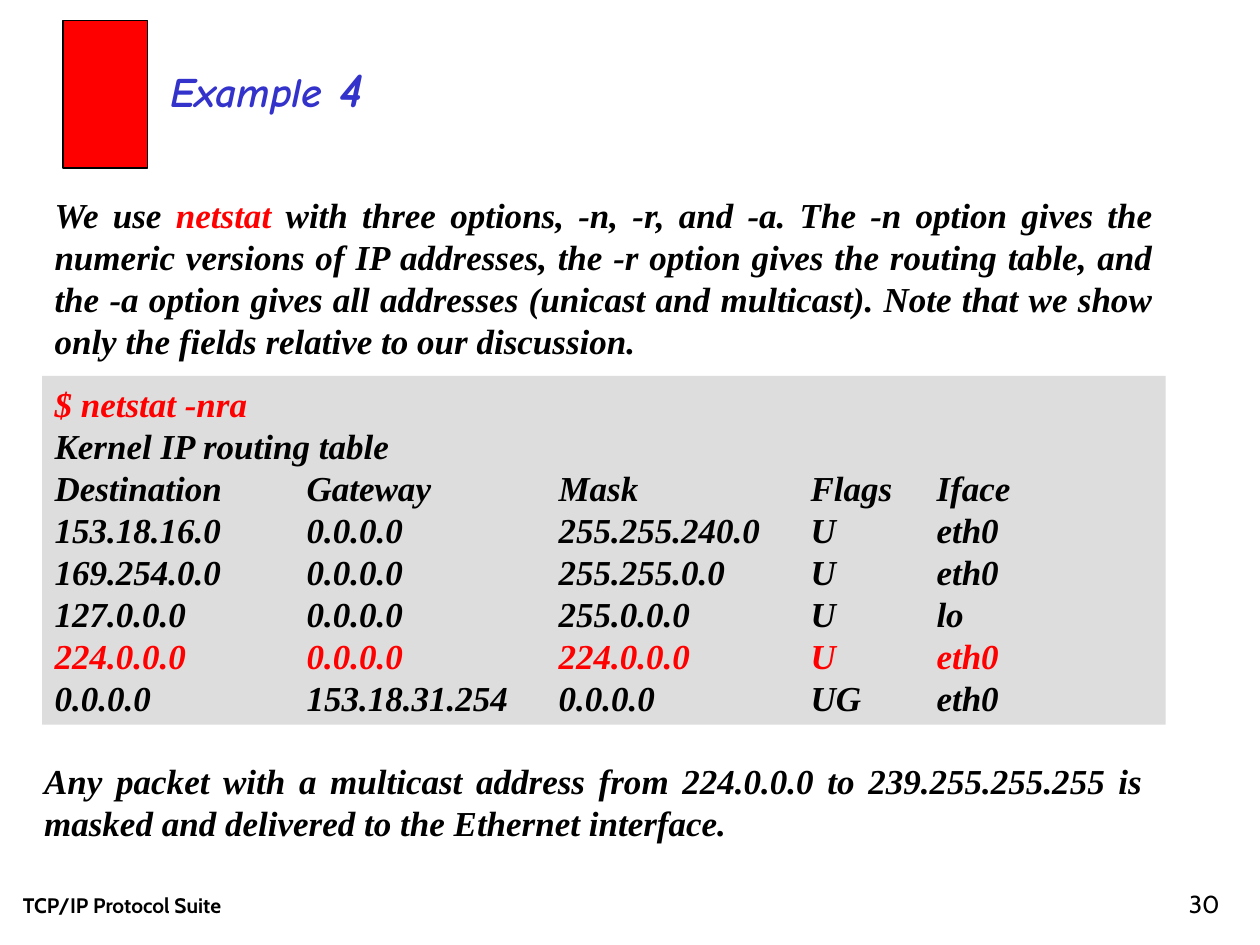
from dataclasses import dataclass

from lxml import etree
from pptx import Presentation
from pptx import util as u
from pptx.dml.color import RGBColor
from pptx.enum import shapes, text
from pptx.oxml import ns


@dataclass(frozen=True)
class Theme:
    black: str = "000000"
    red: str = "FF0000"
    blue: str = "3333CC"
    gray: str = "DDDDDD"
    serif: str = "Times New Roman"
    comic: str = "Comic Neue"
    sans: str = "Cabin"
    body: int = 20
    title: int = 24
    number: int = 28
    footer: int = 12
    page: int = 14


T = Theme()
BODY = dict(name=T.serif, size=u.Pt(T.body), bold=True, italic=True)
TITLE = dict(name=T.comic, size=u.Pt(T.title), bold=True, italic=True)
FOOTER = dict(name=T.sans, size=u.Pt(T.footer), bold=True)
PAGE = dict(name=T.sans, size=u.Pt(T.page), bold=False)

TAB_STOPS = [u.Cm(2.54 * n) for n in (2, 4, 6, 7)]
ROUTES = [
    ("Destination", "Gateway", "Mask", "Flags", "Iface"),
    ("153.18.16.0", "0.0.0.0", "255.255.240.0", "U", "eth0"),
    ("169.254.0.0", "0.0.0.0", "255.255.0.0", "U", "eth0"),
    ("127.0.0.0", "0.0.0.0", "255.0.0.0", "U", "lo"),
    ("224.0.0.0", "0.0.0.0", "224.0.0.0", "U", "eth0"),
    ("0.0.0.0", "153.18.31.254", "0.0.0.0", "UG", "eth0"),
]
MULTICAST = "224.0.0.0"


def apply(target, values):
    for name, value in values.items():
        setattr(target, name, value)


def add_run(p, words, fmt, color):
    r = p.add_run()
    r.text = words
    apply(r.font, fmt)
    r.font.color.rgb = RGBColor.from_string(color)


def add_box(s, box, fill, line=None):
    sp = s.shapes.add_shape(shapes.MSO_SHAPE.RECTANGLE, *map(u.Cm, box))
    sp.shadow.inherit = False
    sp.fill.solid()
    sp.fill.fore_color.rgb = RGBColor.from_string(fill)
    if line:
        sp.line.color.rgb = RGBColor.from_string(line)
        sp.line.width = u.Pt(0.75)
    else:
        sp.line.fill.background()
    return sp


def start_text(sp, align=text.PP_ALIGN.LEFT, anchor=text.MSO_ANCHOR.TOP):
    tf = sp.text_frame
    apply(tf, dict(word_wrap=True, vertical_anchor=anchor))
    p = tf.paragraphs[0]
    p.alignment = align
    return p


def add_text(s, box, runs, **layout):
    sp = s.shapes.add_textbox(*map(u.Cm, box))
    p = start_text(sp, **layout)
    for run in runs:
        add_run(p, *run)


def set_tabs(p, stops):
    tabs = etree.SubElement(p._p.get_or_add_pPr(), ns.qn("a:tabLst"))
    for stop in stops:
        etree.SubElement(tabs, ns.qn("a:tab"), pos=str(int(stop)), algn="l")


def add_listing(s, box):
    p = start_text(add_box(s, box, T.gray))
    set_tabs(p, TAB_STOPS)
    add_run(p, "$ netstat -nra", BODY, T.red)
    p.add_line_break()
    add_run(p, "Kernel IP routing table", BODY, T.black)
    for route in ROUTES:
        p.add_line_break()
        color = T.red if route[0] == MULTICAST else T.black
        add_run(p, "\t".join(route), BODY, color)


def main():
    prs = Presentation()
    apply(prs, dict(slide_width=u.Cm(25.4), slide_height=u.Cm(19.05)))
    s = prs.slides.add_slide(prs.slide_layouts[6])
    justify = text.PP_ALIGN.JUSTIFY
    bottom = text.MSO_ANCHOR.BOTTOM

    add_text(s, (0.85, 3.78, 22.65, 3.65), [
        ("We use ", BODY, T.black),
        ("netstat", BODY, T.red),
        (" with three options, -n, -r, and -a. The -n option gives the "
         "numeric versions of IP addresses, the -r option gives the routing "
         "table, and the -a option gives all addresses (unicast and "
         "multicast). Note that we show only the fields relative to our "
         "discussion.", BODY, T.black),
    ], align=justify)
    add_text(s, (3.18, 1.06, 6.15, 1.45), [
        ("Example", TITLE, T.blue),
        (" 4", {**TITLE, "size": u.Pt(T.number)}, T.blue),
    ])
    add_box(s, (1.27, 0.42, 1.7, 2.97), T.red, T.black)
    add_listing(s, (0.85, 7.58, 22.65, 7.03))
    add_text(s, (0.64, 15.18, 22.65, 1.95), [
        ("Any packet with a multicast address from 224.0.0.0 to "
         "239.255.255.255 is masked and delivered to the Ethernet "
         "interface.", BODY, T.black),
    ], align=justify)
    add_text(s, (0.21, 17.36, 8.04, 1.27),
             [("TCP/IP Protocol Suite", FOOTER, T.black)], anchor=bottom)
    add_text(s, (19.55, 17.36, 5.29, 1.27), [("30", PAGE, T.black)],
             align=text.PP_ALIGN.RIGHT, anchor=bottom)
    prs.save("out.pptx")


if __name__ == "__main__":
    main()
